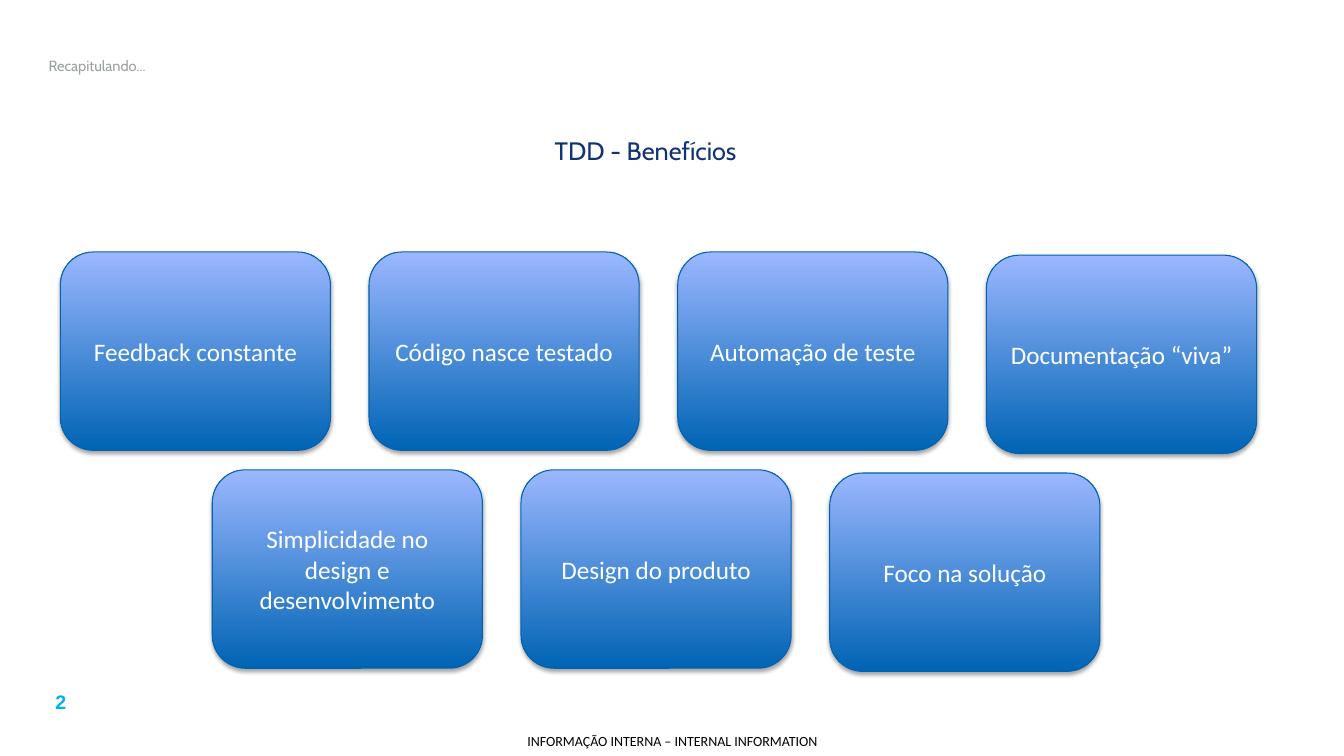
from dataclasses import dataclass

from lxml.etree import SubElement
from pptx import Presentation
from pptx.dml.color import RGBColor
from pptx.enum.shapes import MSO_SHAPE
from pptx.enum.text import MSO_ANCHOR, PP_ALIGN
from pptx.oxml.ns import qn
from pptx.util import Cm, Pt


@dataclass(frozen=True)
class Theme:
    title_color: str = "9BA0A0"
    subtitle_color: str = "123274"
    number_color: str = "00B0F0"
    footer_color: str = "000000"
    card_text: str = "FFFFFF"
    card_line: str = "0062B0"
    card_bottom: str = "0064B4"
    card_top: str = "9BB7FF"
    shadow: str = "000000"
    heading_font: str = "Cabin"
    body_font: str = "Calibri"
    number_font: str = "Arial"
    title_size: float = 10.5
    body_size: float = 18
    number_size: float = 14
    footer_size: float = 10


THEME = Theme()
CARD_WIDTH, CARD_HEIGHT, CARD_PITCH = 6.81, 5.0, 7.78
LAST_CARD_DROP = 0.08
# Left and top of each row in cm, then its labels
CARD_ROWS = [
    (1.52, 6.35, ["Feedback constante", "Código nasce testado",
                  "Automação de teste", "Documentação “viva”"]),
    (5.35, 11.84, ["Simplicidade no design e desenvolvimento",
                   "Design do produto", "Foco na solução"]),
]


def write(s, text, *, font, size, color, bold=False, align=PP_ALIGN.CENTER,
          anchor=MSO_ANCHOR.MIDDLE, margin=None):
    """Put one formatted paragraph into the shape s."""
    tf = s.text_frame
    tf.word_wrap = True
    tf.vertical_anchor = anchor
    if margin is not None:
        tf.margin_left = tf.margin_right = margin
        tf.margin_top = tf.margin_bottom = margin
    p = tf.paragraphs[0]
    p.alignment = align
    r = p.add_run()
    r.text = text
    r.font.name = font
    r.font.size = Pt(size)
    r.font.bold = bold
    r.font.color.rgb = RGBColor.from_string(color)


def add_title(slide, text):
    s = slide.shapes.title
    s.left, s.top, s.width, s.height = Cm(0.97), Cm(1.04), Cm(30.18), Cm(1.22)
    write(s, text, font=THEME.heading_font, size=THEME.title_size,
          color=THEME.title_color, align=PP_ALIGN.LEFT)


def add_label(slide, text, left, top, width, height, **text_format):
    s = slide.shapes.add_textbox(Cm(left), Cm(top), Cm(width), Cm(height))
    write(s, text, **text_format)


def add_soft_shadow(s):
    s.shadow.inherit = False
    effects = s._element.spPr.find(qn("a:effectLst"))
    outer = SubElement(effects, qn("a:outerShdw"), blurRad=str(Pt(3.1)),
                       dist=str(Pt(1.8)), dir="5400000", rotWithShape="0")
    color = SubElement(outer, qn("a:srgbClr"), val=THEME.shadow)
    SubElement(color, qn("a:alpha"), val="35000")


def add_card(slide, text, left, top):
    s = slide.shapes.add_shape(MSO_SHAPE.ROUNDED_RECTANGLE, Cm(left), Cm(top),
                               Cm(CARD_WIDTH), Cm(CARD_HEIGHT))
    s.fill.gradient()
    s.fill.gradient_angle = 90
    for stop, color in zip(s.fill.gradient_stops,
                           (THEME.card_bottom, THEME.card_top)):
        stop.color.rgb = RGBColor.from_string(color)
    s.line.color.rgb = RGBColor.from_string(THEME.card_line)
    s.line.width = Pt(0.75)
    add_soft_shadow(s)
    write(s, text, font=THEME.body_font, size=THEME.body_size,
          color=THEME.card_text)


def add_card_row(slide, left, top, labels):
    """Space the cards evenly; the last one sits slightly lower."""
    for i, label in enumerate(labels):
        drop = LAST_CARD_DROP if i == len(labels) - 1 else 0
        add_card(slide, label, left + i * CARD_PITCH, top + drop)


def main():
    prs = Presentation()
    prs.slide_width, prs.slide_height = Cm(33.87), Cm(19.05)
    slide = prs.slides.add_slide(prs.slide_layouts[5])

    add_title(slide, "Recapitulando...")
    add_label(slide, "TDD - Benefícios", 0.94, 2.92, 30.66, 1.75,
              font=THEME.heading_font, size=THEME.body_size,
              color=THEME.subtitle_color)
    for left, top, labels in CARD_ROWS:
        add_card_row(slide, left, top, labels)
    add_label(slide, "2", 0.53, 17.27, 2.01, 0.86, font=THEME.number_font,
              size=THEME.number_size, color=THEME.number_color, bold=True,
              anchor=MSO_ANCHOR.TOP)
    add_label(slide, "INFORMAÇÃO INTERNA – INTERNAL INFORMATION",
              12.78, 18.31, 8.33, 0.74, font=THEME.body_font,
              size=THEME.footer_size, color=THEME.footer_color, margin=0)
    prs.save("out.pptx")


if __name__ == "__main__":
    main()
